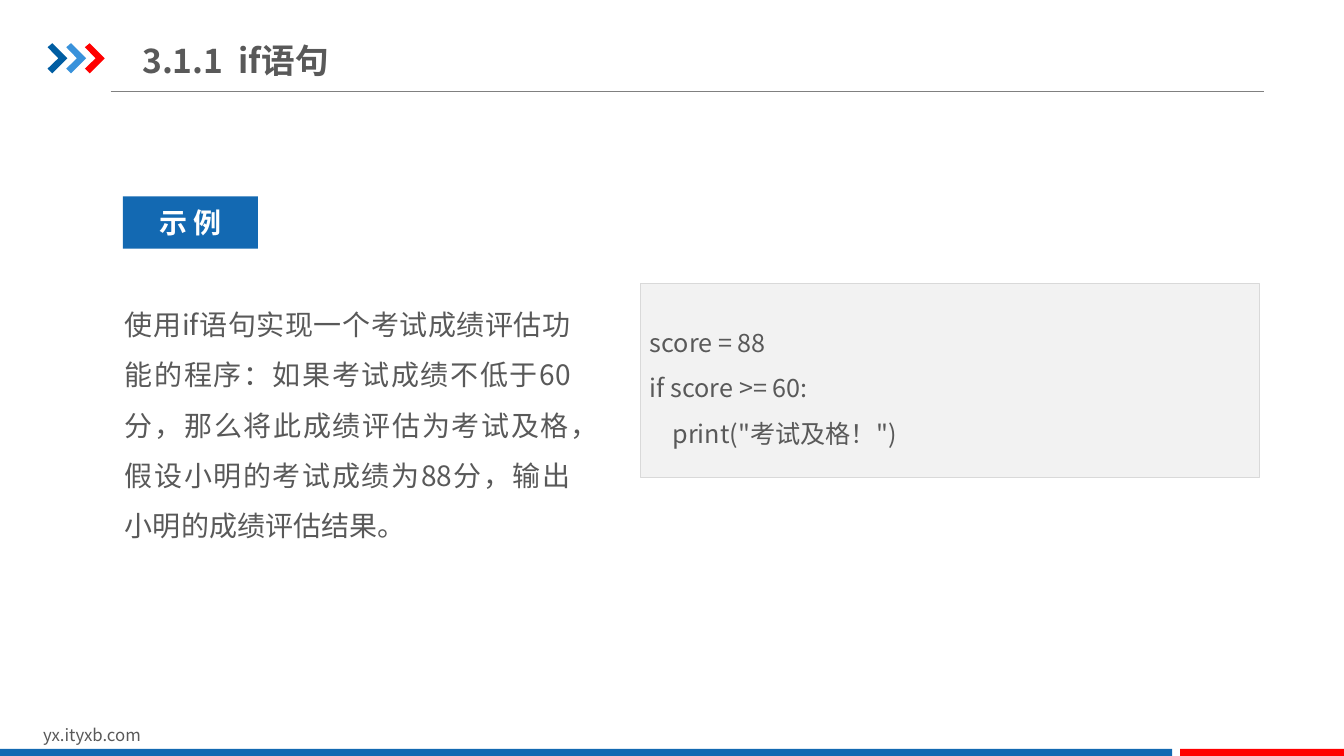
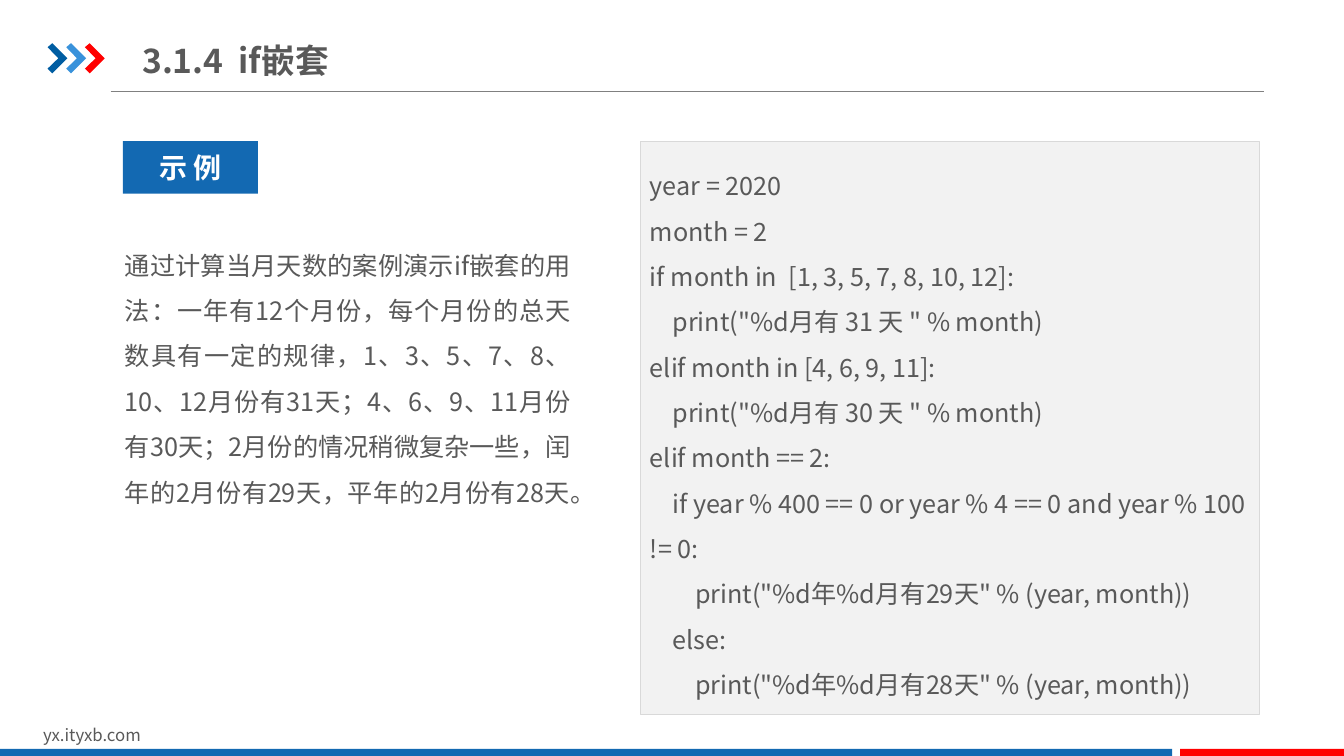
from dataclasses import dataclass

from lxml import etree
from pptx import Presentation
from pptx.dml.color import RGBColor
from pptx.enum.lang import MSO_LANGUAGE_ID
from pptx.enum.shapes import MSO_CONNECTOR, MSO_SHAPE
from pptx.enum.text import MSO_ANCHOR, MSO_AUTO_SIZE, PP_ALIGN
from pptx.oxml.ns import qn
from pptx.util import Cm, Pt

RECT = MSO_SHAPE.RECTANGLE
STRAIGHT = MSO_CONNECTOR.STRAIGHT
MIDDLE, TOP = MSO_ANCHOR.MIDDLE, MSO_ANCHOR.TOP
LEFT, CENTER, JUSTIFY = PP_ALIGN.LEFT, PP_ALIGN.CENTER, PP_ALIGN.JUSTIFY
CHINESE = MSO_LANGUAGE_ID.SIMPLIFIED_CHINESE
TITLE_ONLY = 5


@dataclass(frozen=True)
class Theme:
    font: str = "Noto Sans CJK SC"
    text: str = "595959"
    white: str = "FFFFFF"
    blue: str = "1369B2"
    red: str = "FF0000"
    rule: str = "808080"
    code_fill: str = "F2F2F2"
    code_line: str = "D9D9D9"
    chevrons: tuple[str, ...] = ("005DA2", "3992DB", "FF0000")
    title_size: int = 24
    badge_size: int = 20
    code_size: int = 18
    footer_size: int = 12


THEME = Theme()


@dataclass(frozen=True)
class Box:
    """Position and size in centimetres."""
    left: float
    top: float
    width: float
    height: float

    def emu(self) -> tuple[int, int, int, int]:
        return Cm(self.left), Cm(self.top), Cm(self.width), Cm(self.height)


@dataclass(frozen=True)
class Example:
    title: str
    task: str
    task_size: int
    task_box: Box
    badge_top: float
    code: str
    code_box: Box


# Shared geometry
SLIDE_W, SLIDE_H = 33.87, 19.05
TITLE_BOX = Box(3.33, 0.74, 13.74, 1.55)
FOOTER_BOX = Box(0.84, 18.14, 8.08, 0.76)
RULE_LEFT, RULE_RIGHT, RULE_Y = 2.79, 31.85, 2.31
BAND_TOP, BAND_SPLIT, BAND_GAP = 18.87, 29.54, 0.2
CHEVRON_LEFT, CHEVRON_TOP, CHEVRON_STEP = 1.2, 1.09, 0.47
CHEVRON_OUTLINE = ((0, 0.1), (0.12, 0), (0.5, 0.38),
                   (0.12, 0.76), (0, 0.64), (0.27, 0.38))
BADGE_LEFT, BADGE_W, BADGE_H = 3.1, 3.4, 1.32
TASK_LEFT, TASK_W = 2.82, 11.89
CODE_LEFT, CODE_W = 16.13, 15.6

EXAMPLES = (
    Example(
        title="3.1.1  if语句",
        task="使用if语句实现一个考试成绩评估功能的程序：如果考试成绩不低于60分，"
             "那么将此成绩评估为考试及格，假设小明的考试成绩为88分，"
             "输出小明的成绩评估结果。",
        task_size=20,
        task_box=Box(TASK_LEFT, 7.14, TASK_W, 6.76),
        badge_top=4.95,
        code='''score = 88
if score >= 60:
    print("考试及格！")''',
        code_box=Box(CODE_LEFT, 7.14, CODE_W, 4.88),
    ),
    Example(
        title="3.1.4  if嵌套",
        task="通过计算当月天数的案例演示if嵌套的用法：一年有12个月份，"
             "每个月份的总天数具有一定的规律，1、3、5、7、8、10、12月份有31天；"
             "4、6、9、11月份有30天；2月份的情况稍微复杂一些，"
             "闰年的2月份有29天，平年的2月份有28天。",
        task_size=18,
        task_box=Box(TASK_LEFT, 5.74, TASK_W, 8.41),
        badge_top=3.56,
        code='''year = 2020
month = 2
if month in  [1, 3, 5, 7, 8, 10, 12]:
    print("%d月有 31 天 " % month)
elif month in [4, 6, 9, 11]:
    print("%d月有 30 天 " % month)
elif month == 2:
    if year % 400 == 0 or year % 4 == 0 and year % 100 != 0:
        print("%d年%d月有29天" % (year, month))
    else:
        print("%d年%d月有28天" % (year, month))''',
        code_box=Box(CODE_LEFT, 3.56, CODE_W, 14.43),
    ),
)


def rgb(color: str) -> RGBColor:
    return RGBColor.from_string(color)


def write(shape, text: str, size: int, color: str = THEME.text,
          bold: bool = False, align=LEFT, anchor=MIDDLE,
          spacing: float = 1.0) -> None:
    """Fill a shape with text in the deck's font."""
    frame = shape.text_frame
    frame.text = text
    frame.word_wrap = True
    frame.auto_size = MSO_AUTO_SIZE.NONE
    frame.vertical_anchor = anchor
    for paragraph in frame.paragraphs:
        paragraph.alignment = align
        paragraph.line_spacing = spacing
        for run in paragraph.runs:
            font = run.font
            font.name, font.size, font.bold = THEME.font, Pt(size), bold
            font.color.rgb = rgb(color)
            font.language_id = CHINESE
            east_asian = etree.SubElement(run._r.get_or_add_rPr(), qn("a:ea"))
            east_asian.set("typeface", THEME.font)


def paint(shape, fill: str, line: str | None = None) -> None:
    shape.shadow.inherit = False
    shape.fill.solid()
    shape.fill.fore_color.rgb = rgb(fill)
    if line is None:
        shape.line.fill.background()
    else:
        shape.line.color.rgb = rgb(line)
        shape.line.width = Pt(0.25)


def add_rect(slide, box: Box, fill: str, line: str | None = None):
    rect = slide.shapes.add_shape(RECT, *box.emu())
    paint(rect, fill, line)
    return rect


def add_chevron(slide, left: float, color: str) -> None:
    points = [(Cm(left + x), Cm(CHEVRON_TOP + y)) for x, y in CHEVRON_OUTLINE]
    builder = slide.shapes.build_freeform(*points[0])
    builder.add_line_segments(points[1:], close=True)
    paint(builder.convert_to_shape(), color)


def add_frame(slide) -> None:
    """Draw the header rule, chevrons, footer and bottom bands."""
    rule = slide.shapes.add_connector(
        STRAIGHT, Cm(RULE_LEFT), Cm(RULE_Y), Cm(RULE_RIGHT), Cm(RULE_Y))
    rule.line.color.rgb = rgb(THEME.rule)
    rule.line.width = Pt(0.75)
    etree.SubElement(rule._element.spPr, qn("a:effectLst"))

    for index, color in enumerate(THEME.chevrons):
        add_chevron(slide, CHEVRON_LEFT + index * CHEVRON_STEP, color)

    footer = slide.shapes.add_textbox(*FOOTER_BOX.emu())
    write(footer, "yx.ityxb.com", THEME.footer_size, anchor=TOP)

    band_height = SLIDE_H - BAND_TOP
    red_left = BAND_SPLIT + BAND_GAP
    add_rect(slide, Box(0, BAND_TOP, BAND_SPLIT, band_height), THEME.blue)
    add_rect(slide, Box(red_left, BAND_TOP, SLIDE_W - red_left, band_height),
             THEME.red)


def add_title(slide, text: str) -> None:
    title = slide.shapes.title
    title.left, title.top, title.width, title.height = TITLE_BOX.emu()
    write(title, text, THEME.title_size, bold=True)


def add_example(prs, example: Example) -> None:
    slide = prs.slides.add_slide(prs.slide_layouts[TITLE_ONLY])
    add_frame(slide)
    add_title(slide, example.title)

    # Code panel
    code = add_rect(slide, example.code_box, THEME.code_fill, THEME.code_line)
    write(code, example.code, THEME.code_size, spacing=1.5)

    # Badge
    badge = add_rect(slide, Box(BADGE_LEFT, example.badge_top, BADGE_W, BADGE_H),
                     THEME.blue)
    write(badge, "示 例", THEME.badge_size, THEME.white, bold=True, align=CENTER)

    # Task description
    task = slide.shapes.add_textbox(*example.task_box.emu())
    frame = task.text_frame
    frame.margin_left = frame.margin_right = Cm(0.33)
    frame.margin_top = frame.margin_bottom = Cm(0.18)
    write(task, example.task, example.task_size, align=JUSTIFY, anchor=TOP,
          spacing=1.5)


def main() -> None:
    prs = Presentation()
    prs.slide_width, prs.slide_height = Cm(SLIDE_W), Cm(SLIDE_H)
    for example in EXAMPLES:
        add_example(prs, example)
    prs.save("out.pptx")


if __name__ == "__main__":
    main()
